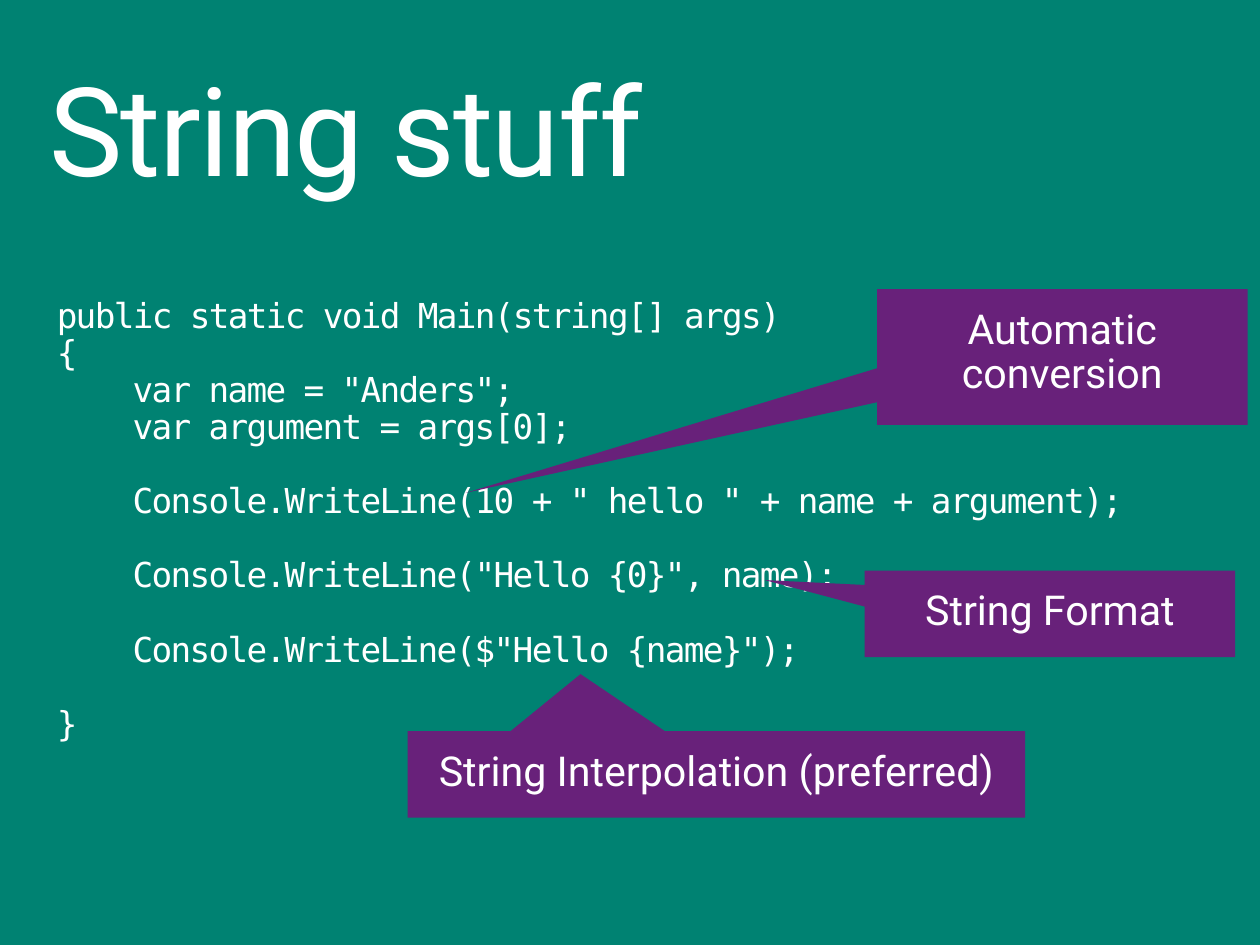
from pptx import Presentation
from pptx import util as u
from pptx.dml.color import RGBColor
from pptx.enum import shapes, text

COLORS = {"background": "008272", "callout": "68217A", "text": "FFFFFF"}
TITLE_FONT, CODE_FONT = "Roboto", "DejaVu Sans Mono"
CODE_SIZE, CODE_LINE, CODE_INDENT = 20, 21.6, 44.2

# (text, indent level, line gaps before)
CODE = [
    ("public static void Main(string[] args)", 0, 0),
    ("{", 0, 0),
    ('var name = "Anders";', 1, 0),
    ("var argument = args[0];", 1, 0),
    ('Console.WriteLine(10 + " hello " + name + argument);', 1, 1),
    ('Console.WriteLine("Hello {0}", name);', 1, 1),
    ('Console.WriteLine($"Hello {name}");', 1, 1),
    ("}", 0, 1),
]

# (text, left, top, width, height, tip offsets as shares of the size)
CALLOUTS = [
    ("Automatic conversion", 511.2, 168.5, 216, 79.2, (-1.61, 1)),
    ("String Format", 504, 332.6, 216, 50.4, (-0.77, -0.39)),
    ("String Interpolation (preferred)", 237.6, 426.2, 360, 50.4, (-0.22, -1.16)),
]


class SlideBuilder:
    def __init__(self, prs):
        self.slide = prs.slides.add_slide(prs.slide_layouts[6])
        fill = self.slide.background.fill
        fill.solid()
        fill.fore_color.rgb = self.color("background")

    def color(self, name):
        return RGBColor.from_string(COLORS[name])

    def frame(self, sp, inset_x, inset_y):
        tf = sp.text_frame
        tf.word_wrap = True
        tf.vertical_anchor = text.MSO_ANCHOR.TOP
        tf.margin_left = tf.margin_right = u.Pt(inset_x)
        tf.margin_top = tf.margin_bottom = u.Pt(inset_y)
        return tf

    def add_text(self, p, words, size, font, tracking=0):
        """Fill a paragraph with one run; tracking is in points."""
        p.line_spacing = 0.9
        r = p.add_run()
        r.text = words
        r.font.size, r.font.name = u.Pt(size), font
        r.font.color.rgb = self.color("text")
        if tracking:
            r.font._element.set("spc", str(tracking * 100))

    def title(self, words, *box):
        sp = self.slide.shapes.add_textbox(*map(u.Pt, box))
        tf = self.frame(sp, 7.2, 3.6)
        self.add_text(tf.paragraphs[0], words, 72, TITLE_FONT, -1)

    def code(self, lines, *box):
        sp = self.slide.shapes.add_textbox(*map(u.Pt, box))
        tf = self.frame(sp, 11.5, 7.2)
        for i, (words, level, gaps) in enumerate(lines):
            p = tf.add_paragraph() if i else tf.paragraphs[0]
            self.add_text(p, words, CODE_SIZE, CODE_FONT, -1)
            p.space_before = u.Pt(gaps * CODE_LINE)
            p._p.get_or_add_pPr().set("marL", str(u.Pt(level * CODE_INDENT)))

    def callout(self, words, left, top, width, height, tip):
        sp = self.slide.shapes.add_shape(
            shapes.MSO_SHAPE.RECTANGULAR_CALLOUT,
            *map(u.Pt, (left, top, width, height)))
        sp.adjustments[0], sp.adjustments[1] = tip
        sp.shadow.inherit = False
        sp.fill.solid()
        sp.fill.fore_color.rgb = self.color("callout")
        sp.line.fill.background()
        p = self.frame(sp, 14.4, 11.5).paragraphs[0]
        p.alignment = text.PP_ALIGN.CENTER
        self.add_text(p, words, 24, TITLE_FONT)


def main():
    prs = Presentation()
    prs.slide_width, prs.slide_height = u.Pt(734.4), u.Pt(550.8)
    s = SlideBuilder(prs)
    s.title("String stuff", 21.6, 37.4, 691.2, 106.6)
    s.code(CODE, 21.6, 167, 691.2, 309.6)
    for callout in CALLOUTS:
        s.callout(*callout)
    prs.save("out.pptx")


if __name__ == "__main__":
    main()
